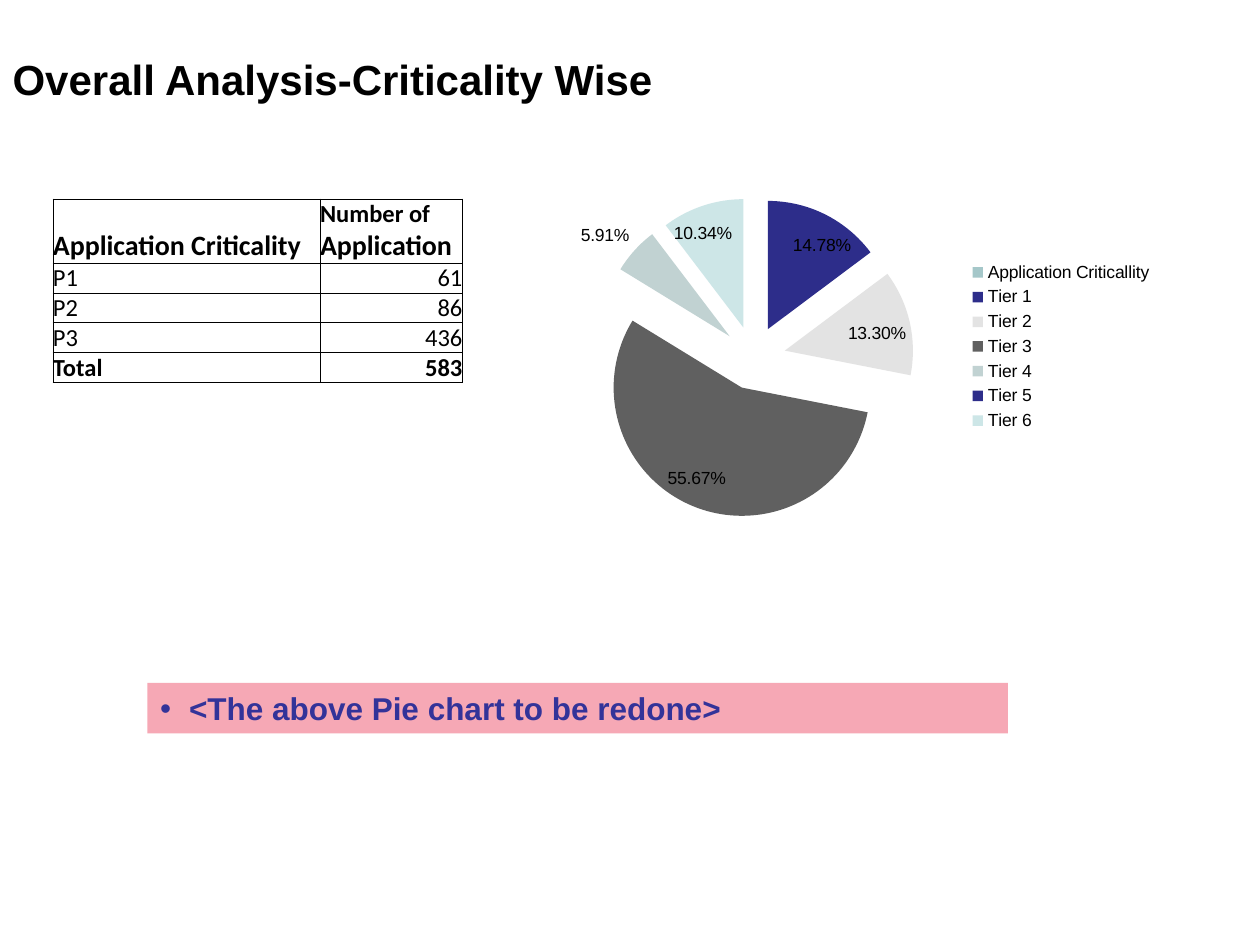
from dataclasses import dataclass

from lxml.etree import SubElement
from pptx import Presentation
from pptx.chart.data import CategoryChartData
from pptx.dml.color import RGBColor
from pptx.enum.chart import XL_CHART_TYPE as ChartType
from pptx.enum.chart import XL_LABEL_POSITION as LabelPosition
from pptx.enum.chart import XL_LEGEND_POSITION as LegendPosition
from pptx.enum.text import MSO_ANCHOR as Anchor
from pptx.enum.text import PP_ALIGN as Align
from pptx.oxml import parse_xml
from pptx.oxml.ns import nsdecls, qn
from pptx.util import Inches, Pt

COLORS = {
    "text": "000000",
    "note": "333399",
    "note_fill": "F6A8B5",
    "heading": "A5C7C9",
    "navy": "2D2D8A",
    "silver": "E3E3E3",
    "gray": "606060",
    "sage": "C1D2D2",
    "ice": "CDE6E7",
}


@dataclass
class Row:
    label: str
    count: str
    bold: bool = False


@dataclass
class Slice:
    name: str
    value: float | None
    color: str


ROWS = [
    Row("P1", "61"),
    Row("P2", "86"),
    Row("P3", "436"),
    Row("Total", "583", bold=True),
]

SLICES = [
    Slice("Application Criticallity", None, "heading"),
    Slice("Tier 1", 0.1478, "navy"),
    Slice("Tier 2", 0.133, "silver"),
    Slice("Tier 3", 0.5567, "gray"),
    Slice("Tier 4", 0.0591, "sage"),
    Slice("Tier 5", 0, "navy"),
    Slice("Tier 6", 0.1034, "ice"),
]


def rgb(name: str) -> RGBColor:
    return RGBColor.from_string(COLORS[name])


def add_text(paragraph, text: str, *, size: float, font: str = "Arial",
             color: str = "text", bold: bool = False, align=Align.LEFT) -> None:
    paragraph.alignment = align
    run = paragraph.add_run()
    run.text = text
    run.font.size = Pt(size)
    run.font.name = font
    run.font.bold = bold
    run.font.color.rgb = rgb(color)


def place(shape, left: float, top: float, width: float, height: float) -> None:
    shape.left, shape.top = Inches(left), Inches(top)
    shape.width, shape.height = Inches(width), Inches(height)


def add_title(slide) -> None:
    title = slide.shapes.title
    place(title, 0, 0, 9, 1.25)
    title.text_frame.vertical_anchor = Anchor.MIDDLE
    add_text(title.text_frame.paragraphs[0], "Overall Analysis-Criticality Wise",
             size=24, bold=True)


def add_note(slide) -> None:
    note = slide.placeholders[1]
    place(note, 1.17, 5.42, 6.83, 0.4)
    note.fill.solid()
    note.fill.fore_color.rgb = rgb("note_fill")
    paragraph = note.text_frame.paragraphs[0]
    paragraph.space_before = Pt(0)
    add_text(paragraph, "<The above Pie chart to be redone>",
             size=18, color="note", bold=True)
    properties = paragraph._p.get_or_add_pPr()
    properties.set("marL", str(Inches(0.23)))
    properties.set("indent", str(-Inches(0.23)))
    SubElement(properties, qn("a:buFont")).set("typeface", "Arial")
    SubElement(properties, qn("a:buChar")).set("char", "•")


def format_cell(cell):
    cell.margin_left = cell.margin_right = cell.margin_top = cell.margin_bottom = 0
    cell.vertical_anchor = Anchor.BOTTOM
    cell.fill.background()
    properties = cell._tc.get_or_add_tcPr()
    for index, side in enumerate("LRTB"):
        properties.insert(index, parse_xml(
            f'<a:ln{side} {nsdecls("a")} w="{Pt(0.5)}"><a:solidFill>'
            f'<a:srgbClr val="{COLORS["text"]}"/></a:solidFill></a:ln{side}>'))
    return cell.text_frame.paragraphs[0]


def add_criticality_table(slide) -> None:
    frame = slide.shapes.add_table(len(ROWS) + 1, 2, Inches(0.42), Inches(1.58),
                                   Inches(3.25), Inches(1.43))
    table = frame.table
    table.first_row = table.horz_banding = False
    for column, width in zip(table.columns, (2.12, 1.13)):
        column.width = Inches(width)
    for index, row in enumerate(table.rows):
        row.height = Inches(0.23 if index else 0.5)

    add_text(format_cell(table.cell(0, 0)), "Application Criticality",
             size=16, font="Calibri", bold=True)
    heading = format_cell(table.cell(0, 1))
    for text, size in (("Number of ", 14), ("Application", 16)):
        add_text(heading, text, size=size, font="Calibri", bold=True)
    for index, row in enumerate(ROWS, start=1):
        for column, (text, align) in enumerate(((row.label, Align.LEFT),
                                                (row.count, Align.RIGHT))):
            add_text(format_cell(table.cell(index, column)), text, size=14,
                     font="Calibri", bold=row.bold, align=align)


def add_tier_chart(slide) -> None:
    data = CategoryChartData(number_format="0.00%")
    data.categories = [item.name for item in SLICES]
    data.add_series("Series 1", [item.value for item in SLICES])
    chart = slide.shapes.add_chart(ChartType.PIE, Inches(4.25), Inches(1.25),
                                   Inches(5), Inches(3), data).chart
    chart.has_title = False
    chart.font.size = Pt(10)
    chart.font.name = "Arial"
    chart.font.color.rgb = rgb("text")
    chart.has_legend = True
    chart.legend.position = LegendPosition.RIGHT
    chart.legend.include_in_layout = False

    plot = chart.plots[0]
    plot.vary_by_categories = True
    series = plot.series[0]
    for index, item in enumerate(SLICES):
        fill = series.points[index].format.fill
        fill.solid()
        fill.fore_color.rgb = rgb(item.color)
    series._element.find(qn("c:dPt")).addprevious(
        parse_xml(f'<c:explosion {nsdecls("c")} val="25"/>'))

    labels = series.data_labels
    labels.show_value = True
    labels.number_format = "0.00%"
    labels.number_format_is_linked = False
    labels.position = LabelPosition.BEST_FIT
    empty = [index for index, item in enumerate(SLICES) if not item.value]
    for position, index in enumerate(empty):
        labels._element.insert(position, parse_xml(
            f'<c:dLbl {nsdecls("c")}><c:idx val="{index}"/>'
            '<c:delete val="1"/></c:dLbl>'))


def main() -> None:
    presentation = Presentation()
    presentation.slide_width, presentation.slide_height = Inches(10), Inches(7.5)
    slide = presentation.slides.add_slide(presentation.slide_layouts[1])
    add_title(slide)
    add_note(slide)
    add_criticality_table(slide)
    add_tier_chart(slide)
    presentation.save("out.pptx")


main()
